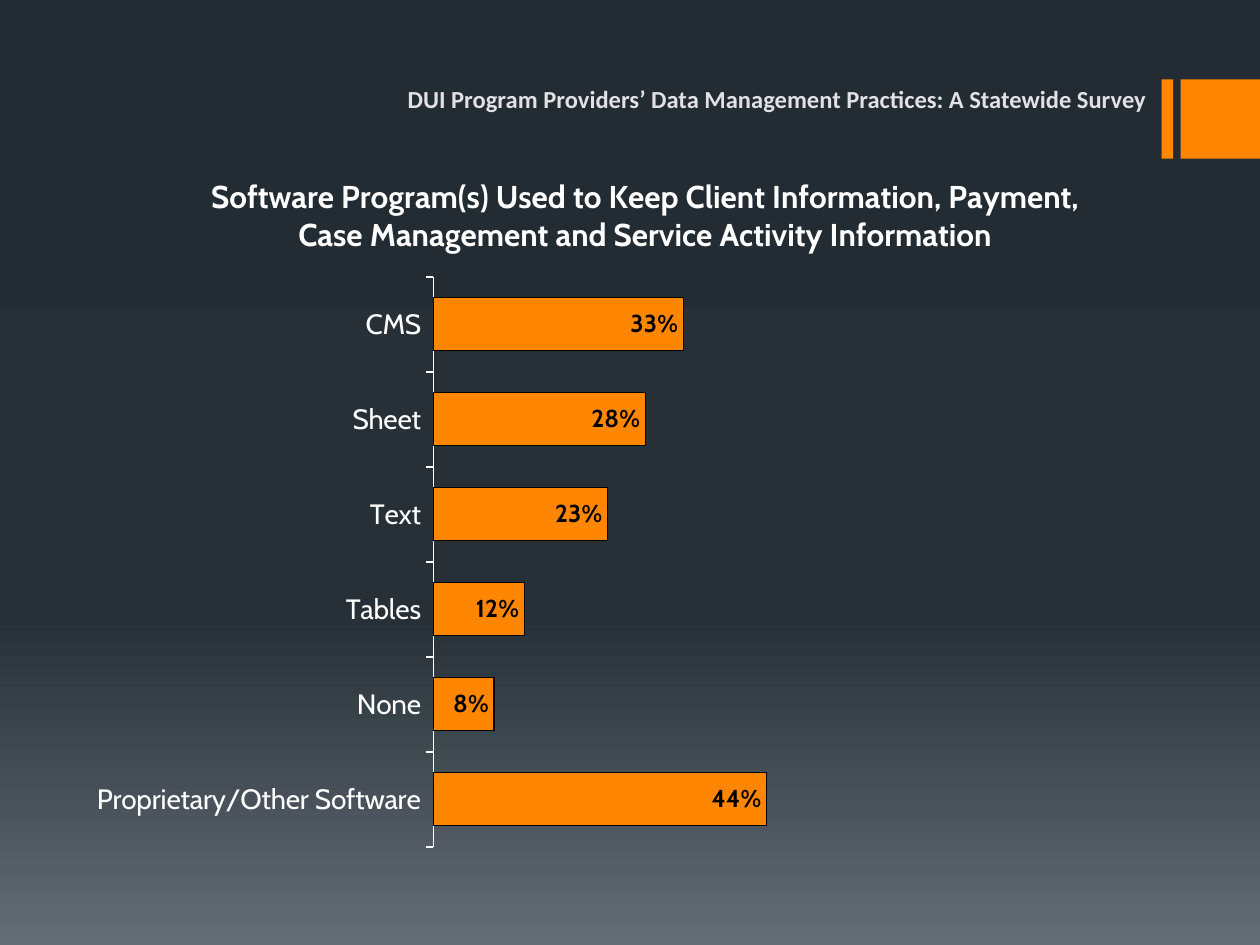
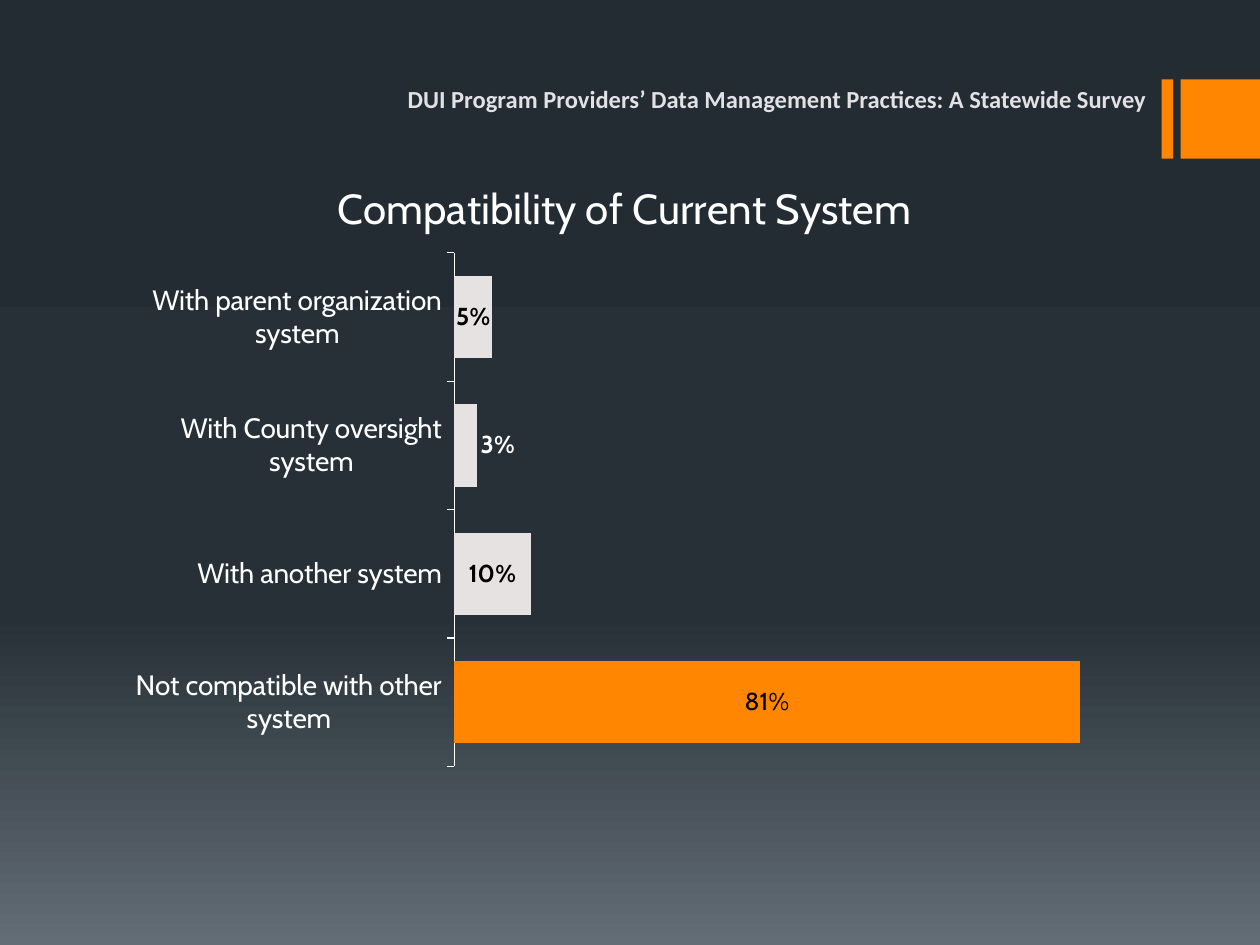
from copy import deepcopy

from lxml.etree import SubElement
from pptx import Presentation
from pptx.chart.data import CategoryChartData
from pptx.dml.color import RGBColor
from pptx.enum.chart import XL_CHART_TYPE, XL_LABEL_POSITION, XL_TICK_MARK
from pptx.enum.shapes import MSO_SHAPE
from pptx.enum.text import PP_ALIGN
from pptx.oxml import parse_xml
from pptx.oxml.ns import nsdecls, qn
from pptx.util import Inches, Pt

ORANGE, PALE, WHITE, BLACK = "FF8600", "E6E2E1", "FFFFFF", "000000"
HEADING = "E2E1E5"
BACKGROUND = [(0, "242C33"), (0.65, "273037"), (1, "636D76")]
SURVEY = "DUI Program Providers’ Data Management Practices: A Statewide Survey"


def rgb(value):
    """Turn a hex string into a colour."""
    return RGBColor.from_string(value)


def style_font(font, color=WHITE, **values):
    """Set the colour and the other given values of a font."""
    font.color.rgb = rgb(color)
    for name, value in values.items():
        setattr(font, name, value)


def set_layout(parent, index, **values):
    """Place a chart part by fractions of the chart area."""
    for old in parent.findall(qn("c:layout")):
        parent.remove(old)
    layout = parse_xml(f"<c:layout {nsdecls('c')}><c:manualLayout/></c:layout>")
    for name, value in values.items():
        SubElement(layout[0], qn("c:" + name)).set("val", str(value))
    parent.insert(index, layout)


class Deck:
    """Hold the shared style and the current slide."""

    def __init__(self):
        """Start an empty 4:3 presentation."""
        self.prs = Presentation()
        self.prs.slide_width, self.prs.slide_height = Inches(10), Inches(7.5)
        self.s = None

    def add_slide(self):
        """Add a slide with background and corner blocks."""
        self.s = self.prs.slides.add_slide(self.prs.slide_layouts[6])
        fill = self.s.background.fill
        fill.gradient()
        fill.gradient_angle = 270
        stops = next(self.s.element.iter(qn("a:gsLst")))
        stops.insert(1, deepcopy(stops[0]))
        for stop, (position, color) in zip(fill.gradient_stops, BACKGROUND):
            stop.position = position
            stop.color.rgb = rgb(color)
        for left, width in [(9.22, 0.09), (9.37, 0.63)]:
            self.block(left, 0.63, width, 0.63)

    def block(self, *box):
        """Draw a plain orange rectangle."""
        sp = self.s.shapes.add_shape(MSO_SHAPE.RECTANGLE, *map(Inches, box))
        sp.shadow.inherit = False
        sp.fill.solid()
        sp.fill.fore_color.rgb = rgb(ORANGE)
        sp.line.fill.background()

    def heading(self, text):
        """Write the survey name beside the corner blocks."""
        box = map(Inches, (1.67, 0.67, 7.53, 0.33))
        tf = self.s.shapes.add_textbox(*box).text_frame
        tf.word_wrap = True
        tf.margin_top = 0
        p = tf.paragraphs[0]
        p.alignment = PP_ALIGN.RIGHT
        r = p.add_run()
        r.text = text
        style_font(r.font, HEADING, size=Pt(14), name="Calibri", bold=True)

    def bar_chart(self, kind, box, rows, plot, maximum, gap, label_position, axis_width):
        """Add a one-series bar chart and return it; rows run bottom to top."""
        data = CategoryChartData(number_format="0%")
        data.categories = [name for name, _ in rows]
        data.add_series("Series 1", [value for _, value in rows])
        chart = self.s.shapes.add_chart(kind, *map(Inches, box), data).chart
        chart.has_legend = False
        style_font(chart.font, size=Pt(10), name="Cabin")
        bars = chart.plots[0]
        bars.gap_width, bars.vary_by_categories = gap, False

        axis = chart.category_axis
        axis.major_tick_mark = XL_TICK_MARK.OUTSIDE
        axis.format.line.color.rgb = rgb(WHITE)
        axis.format.line.width = Pt(axis_width)
        style_font(axis.tick_labels.font, size=Pt(16), name="Cabin")
        values = chart.value_axis
        values.minimum_scale, values.maximum_scale = 0, maximum
        values.has_major_gridlines = values.visible = False

        series = bars.series[0]
        series.format.fill.solid()
        series.format.fill.fore_color.rgb = rgb(ORANGE)
        labels = series.data_labels
        formats = {"show_value": True, "position": label_position,
                   "number_format": "0%", "number_format_is_linked": False}
        for name, value in formats.items():
            setattr(labels, name, value)
        style_font(labels.font, BLACK, size=Pt(14), name="Cabin", bold=True)
        for leader in chart._chartSpace.iter(qn("c:showLeaderLines")):
            leader.set("val", "0")
        x, y, w, h = plot
        set_layout(chart._chartSpace.chart.plotArea, 0, layoutTarget="inner",
                   xMode="edge", yMode="edge", x=x, y=y, w=w, h=h)
        return chart

    def point_label(self, chart, index, text, color, bold, shift=0):
        """Write one bar's own label, moved right by a share of the chart width."""
        label = chart.plots[0].series[0].points[index].data_label
        r = label.text_frame.paragraphs[0].add_run()
        r.text = text
        style_font(r.font, color, size=Pt(14), name="Cabin", bold=bold)
        label.position = XL_LABEL_POSITION.CENTER
        if shift:
            for item in chart._chartSpace.iter(qn("c:dLbl")):
                if item.find(qn("c:idx")).get("val") == str(index):
                    set_layout(item, 1, x=shift, y=0)

    def chart_title(self, chart, text, size, bold=False, place=None):
        """Title a chart, at a fixed place if one is given."""
        tf = chart.chart_title.text_frame
        r = tf.paragraphs[0].add_run()
        r.text = text
        style_font(r.font, size=Pt(size), name="Cabin", bold=bold)
        if place:
            title = next(chart._chartSpace.iter(qn("c:title")))
            set_layout(title, 1, xMode="edge", yMode="edge", x=place[0], y=place[1])


def software_slide(deck):
    """Show which programs the providers use."""
    deck.add_slide()
    rows = [("Proprietary/Other Software", 0.44), ("None", 0.08), ("Tables", 0.12),
            ("Text", 0.23), ("Sheet", 0.28), ("CMS", 0.33)]
    chart = deck.bar_chart(
        XL_CHART_TYPE.BAR_CLUSTERED, (0.58, 1.17, 9.08, 5.67), rows,
        plot=(0.315, 0.181, 0.662, 0.798), maximum=1, gap=80,
        label_position=XL_LABEL_POSITION.INSIDE_END, axis_width=1)
    line = chart.plots[0].series[0].format.line
    line.color.rgb, line.width = rgb(BLACK), Pt(0.75)
    deck.chart_title(chart, "Software Program(s) Used to Keep Client Information, Payment, "
                     "Case Management and Service Activity Information", 18, bold=True)
    deck.heading(SURVEY)


def compatibility_slide(deck):
    """Show how far current systems work with others."""
    deck.add_slide()
    rows = [("Not compatible with other system", 0.82), ("With another system", 0.10),
            ("With County oversight system", 0.03), ("With parent organization system", 0.05)]
    chart = deck.bar_chart(
        XL_CHART_TYPE.BAR_STACKED, (0.92, 1.25, 8.5, 5.33), rows,
        plot=(0.316, 0.142, 0.641, 0.765), maximum=0.9, gap=56,
        label_position=XL_LABEL_POSITION.CENTER, axis_width=0.75)
    chart.plots[0].overlap = 100
    points = chart.plots[0].series[0].points
    for i in range(len(rows)):
        fill = points[i].format.fill
        fill.solid()
        fill.fore_color.rgb = rgb(PALE if i else ORANGE)
    deck.point_label(chart, 0, "81%", BLACK, bold=False)
    # The bar is narrower than its label, so the label stands beside it in white.
    deck.point_label(chart, 2, "3%", WHITE, bold=True, shift=0.03)
    deck.chart_title(chart, "Compatibility of Current System", 24, place=(0.2, 0.02))
    deck.heading(SURVEY)


deck = Deck()
software_slide(deck)
compatibility_slide(deck)
deck.prs.save("out.pptx")
